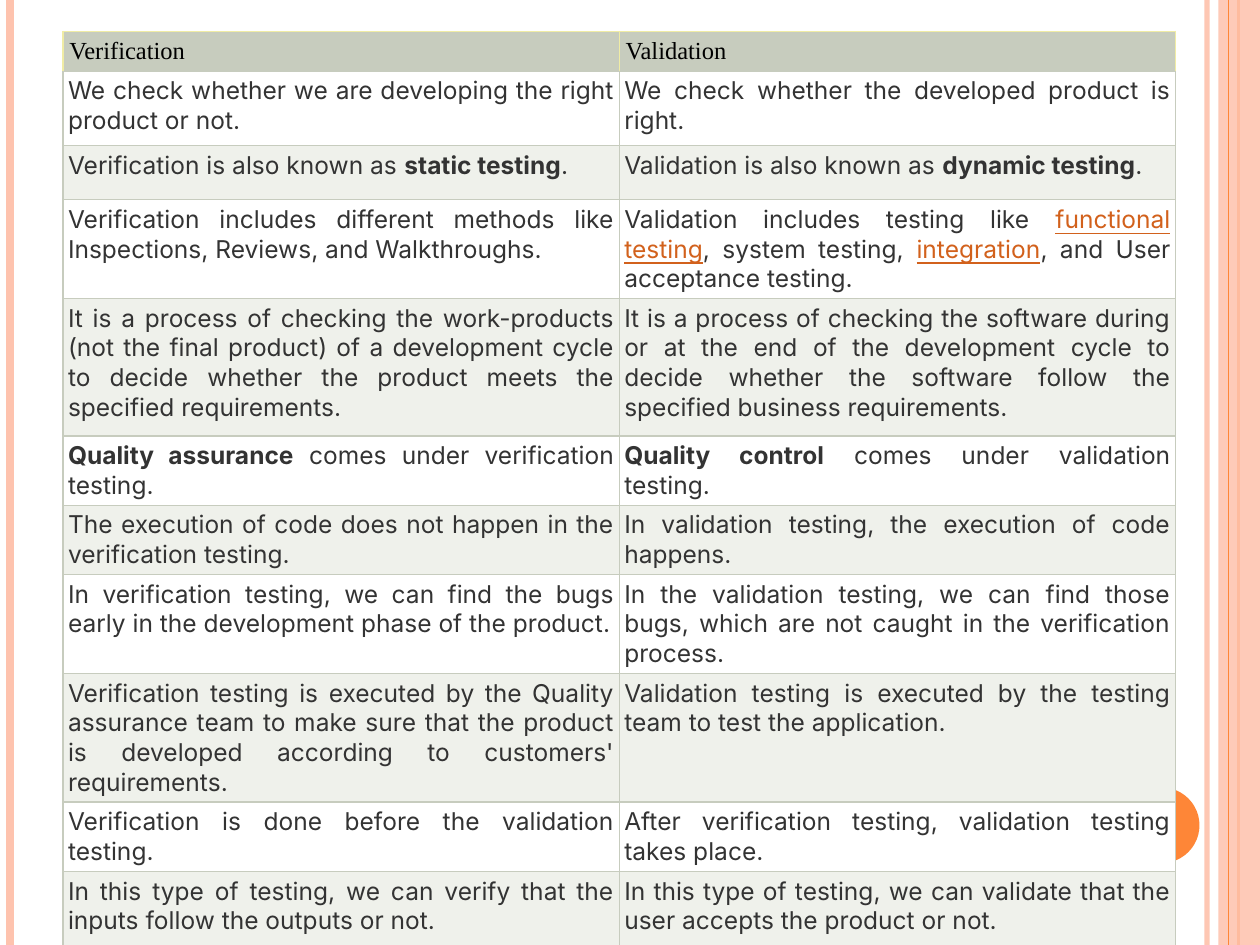
from lxml import etree
from pptx import Presentation
from pptx.dml.color import RGBColor
from pptx.enum import shapes, text
from pptx.oxml import ns
from pptx.util import Inches, Pt

PEACH = RGBColor(0xFE, 0xC3, 0xAE)
ORANGE = RGBColor(0xFE, 0x86, 0x37)
SAGE = RGBColor(0xC7, 0xCC, 0xBE)
PALE = RGBColor(0xEF, 0xF1, 0xEB)
CREAM = RGBColor(0xF0, 0xEC, 0xA5)
WHITE = RGBColor(0xFF, 0xFF, 0xFF)
BLACK = RGBColor(0, 0, 0)
GREY = RGBColor(0x33, 0x33, 0x33)
RUST = RGBColor(0xD2, 0x61, 0x1C)

HEADS = ("Verification", "Validation")
ROWS = [
    (0.59, "We check whether we are developing the right product or not.",
     "We check whether the developed product is right."),
    (0.43, "Verification is also known as *static testing*.",
     "Validation is also known as *dynamic testing*."),
    (0.76, "Verification includes different methods like Inspections, Reviews, and Walkthroughs.",
     "Validation includes testing like ~functional testing~, system testing, ~integration~, "
     "and User acceptance testing."),
    (1.09, "It is a process of checking the work-products (not the final product) of a "
     "development cycle to decide whether the product meets the specified requirements.",
     "It is a process of checking the software during or at the end of the development "
     "cycle to decide whether the software follow the specified business requirements."),
    (0.43, "*Quality assurance* comes under verification testing.",
     "*Quality control* comes under validation testing."),
    (0.43, "The execution of code does not happen in the verification testing.",
     "In validation testing, the execution of code happens."),
    (0.76, "In verification testing, we can find the bugs early in the development phase "
     "of the product.",
     "In the validation testing, we can find those bugs, which are not caught in the "
     "verification process."),
    (0.93, "Verification testing is executed by the Quality assurance team to make sure that "
     "the product is developed according to customers' requirements.",
     "Validation testing is executed by the testing team to test the application."),
    (0.43, "Verification is done before the validation testing.",
     "After verification testing, validation testing takes place."),
    (0.59, "In this type of testing, we can verify that the inputs follow the outputs or not.",
     "In this type of testing, we can validate that the user accepts the product or not."),
]


def fade(fill, share):
    """Make the solid fill of an element partly transparent."""
    color = fill.find(".//" + ns.qn("a:srgbClr"))
    etree.SubElement(color, ns.qn("a:alpha"), val=str(share * 1000))


def add_rule(slide, x, width, color, share=100):
    """Draw a full-height vertical line."""
    rule = slide.shapes.add_connector(
        shapes.MSO_CONNECTOR.STRAIGHT, Inches(x), 0, Inches(x), Inches(7.5))
    rule.line.color.rgb = color
    rule.line.width = Pt(width)
    props = rule._element.spPr
    if share < 100:
        fade(props, share)
    etree.SubElement(props, ns.qn("a:effectLst"))


def add_block(slide, kind, box, color, share=100):
    """Draw a plain filled shape."""
    block = slide.shapes.add_shape(kind, *map(Inches, box))
    block.shadow.inherit = False
    block.fill.solid()
    block.fill.fore_color.rgb = color
    block.line.fill.background()
    if share < 100:
        fade(block._element.spPr, share)


def edge_cell(cell, colors):
    """Give a cell its left, right, top and bottom borders."""
    props = cell._tc.get_or_add_tcPr()
    for spot, (side, color) in enumerate(zip("LRTB", colors)):
        line = etree.Element(ns.qn("a:ln" + side), w=str(Pt(0.75)))
        fill = etree.SubElement(line, ns.qn("a:solidFill"))
        etree.SubElement(fill, ns.qn("a:srgbClr"), val=str(color))
        props.insert(spot, line)


def add_runs(para, words):
    """Write runs, with *bold* and ~link~ marks."""
    for i, part in enumerate(words.split("*")):
        for j, piece in enumerate(part.split("~")):
            if not piece:
                continue
            run = para.add_run()
            run.text = piece
            if i % 2:
                run.font.bold = True
            if j % 2:
                run.font.underline = True
                run.font.color.rgb = RUST


def fill_cell(cell, words, back, edges, inset, face, ink, align):
    """Set the text and look of one cell."""
    cell.margin_left = cell.margin_right = Inches(inset)
    cell.margin_top = cell.margin_bottom = Inches(inset)
    cell.fill.solid()
    cell.fill.fore_color.rgb = back
    edge_cell(cell, edges)
    para = cell.text_frame.paragraphs[0]
    para.alignment = align
    para.font.name = face
    para.font.size = Pt(14)
    para.font.color.rgb = ink
    add_runs(para, words)


def add_grid(slide):
    """Build the comparison table."""
    table = slide.shapes.add_table(
        len(ROWS) + 1, 2, Inches(0.5), Inches(0.25), Inches(8.83), Inches(7.02)).table
    table.first_row = table.horz_banding = False
    table.rows[0].height = Inches(0.31)
    for col, head in enumerate(HEADS):
        fill_cell(table.cell(0, col), head, SAGE, (CREAM, CREAM, CREAM, SAGE),
                  0.05, "Times New Roman", BLACK, text.PP_ALIGN.LEFT)
    for row, (height, *pair) in enumerate(ROWS, 1):
        table.rows[row].height = Inches(height)
        for col, words in enumerate(pair):
            fill_cell(table.cell(row, col), words, WHITE if row % 2 else PALE,
                      [SAGE] * 4, 0.04, "Inter", GREY, text.PP_ALIGN.JUSTIFY)


def main():
    """Build and save the slide."""
    deck = Presentation()
    deck.slide_width, deck.slide_height = Inches(10), Inches(7.5)
    slide = deck.slides.add_slide(deck.slide_layouts[6])
    add_rule(slide, 9.58, 3, PEACH, 93)
    add_rule(slide, 0.08, 4.5, PEACH)
    add_rule(slide, 9.83, 1.5, ORANGE)
    add_block(slide, shapes.MSO_SHAPE.RECTANGLE, (9.67, 0, 0.33, 7.5), PEACH, 87)
    add_rule(slide, 9.75, 0.75, ORANGE)
    add_block(slide, shapes.MSO_SHAPE.OVAL, (8.92, 6.25, 0.6, 0.6), ORANGE)
    add_grid(slide)
    deck.save("out.pptx")


if __name__ == "__main__":
    main()
